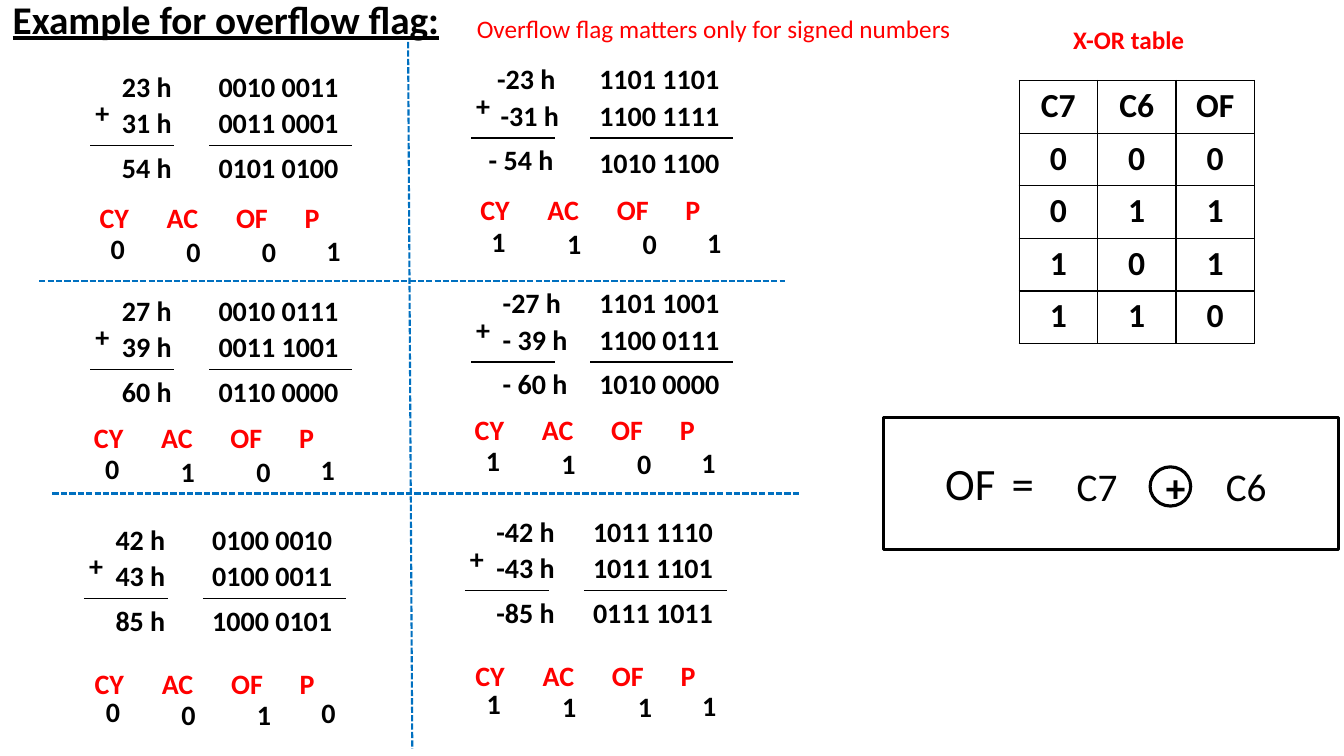
from lxml.etree import SubElement
from pptx import Presentation
from pptx.dml.color import RGBColor
from pptx.enum.dml import MSO_LINE
from pptx.enum.shapes import MSO_CONNECTOR, MSO_SHAPE
from pptx.enum.text import MSO_ANCHOR, MSO_AUTO_SIZE, PP_ALIGN
from pptx.oxml.ns import qn
from pptx.util import Pt

COLORS = {"black": "000000", "red": "FF0000", "blue": "0070C0"}
FONT = "Calibri"
FLAGS = ("CY", "AC", "OF", "P")
FLAG_TABS = (48, 97.5, 146.5)
FLAG_VALUE_OFFSETS = ((8, 0), (62, 2), (116, 2), (162, 1))
RIGHT_SHIFT, RIGHT_RISE = 272, 5.5

# Per row: operand left, top, flag label left, flag label top, label-to-value drop
ROWS = ((80, 46, 64, 139.5, 22.5),
        (80, 206, 60, 296.5, 22.5),
        (75.5, 369.5, 60.5, 472.5, 20))

# Per row, left then right: decimal sum, binary sum, flag values
EXAMPLES = (
    ((("23 h", "31 h", "54 h"), ("0010 0011", "0011 0001", "0101 0100"), "0001"),
     (("-23 h", "-31 h", "- 54 h"), ("1101 1101", "1100 1111", "1010 1100"), "1101")),
    ((("27 h", "39 h", "60 h"), ("0010 0111", "0011 1001", "0110 0000"), "0101"),
     (("-27 h", "- 39 h", "- 60 h"), ("1101 1001", "1100 0111", "1010 0000"), "1101")),
    ((("42 h", "43 h", "85 h"), ("0100 0010", "0100 0011", "1000 0101"), "0010"),
     (("-42 h", "-43 h", "-85 h"), ("1011 1110", "1011 1101", "0111 1011"), "1111")),
)
# Horizontal shift of single numbers that stand out of their column
NUMBER_SHIFTS = {"-23 h": -4, "-31 h": -1.5, "- 54 h": -10}
# Extra drop of single results below their line
NUMBER_DROPS = {"1010 1100": 2}

XOR_ROWS = (("C7", "C6", "OF"), "000", "011", "101", "110")


def rgb(name):
    return RGBColor.from_string(COLORS[name])


def format_run(run, size, color="black", **styles):
    for name, value in {"name": FONT, "size": Pt(size), **styles}.items():
        setattr(run.font, name, value)
    run.font.color.rgb = rgb(color)


def add_text(slide, text, left, top, width, size=20, color="black", tabs=(), **styles):
    height = round(size * 1.22 + 7.2, 1)
    box = slide.shapes.add_textbox(Pt(left), Pt(top), Pt(width), Pt(height))
    box.text_frame.word_wrap = True
    box.text_frame.auto_size = MSO_AUTO_SIZE.SHAPE_TO_FIT_TEXT
    paragraph = box.text_frame.paragraphs[0]
    if tabs:
        tab_list = SubElement(paragraph._p.get_or_add_pPr(), qn("a:tabLst"))
        for position in tabs:
            SubElement(tab_list, qn("a:tab"), pos=str(int(Pt(position))), algn="l")
    run = paragraph.add_run()
    run.text = text
    format_run(run, size, color, **styles)


def add_line(slide, start, end, color="black", width=1, dash=None):
    points = [Pt(value) for value in (*start, *end)]
    connector = slide.shapes.add_connector(MSO_CONNECTOR.STRAIGHT, *points)
    connector.line.color.rgb = rgb(color)
    connector.line.width = Pt(width)
    if dash:
        connector.line.dash_style = dash
    SubElement(connector._element.spPr, qn("a:effectLst"))


def add_outline(slide, kind, left, top, width, height):
    shape = slide.shapes.add_shape(kind, Pt(left), Pt(top), Pt(width), Pt(height))
    shape.shadow.inherit = False
    shape.fill.background()
    shape.line.color.rgb = rgb("black")
    shape.line.width = Pt(2.25)
    return shape


def add_sum(slide, numbers, left, top, width, line_left, line_width):
    """Two operands, a line and the result below it."""
    for number, offset in zip(numbers, (0, 26, 58)):
        add_text(slide, number, left + NUMBER_SHIFTS.get(number, 0),
                 top + offset + NUMBER_DROPS.get(number, 0), width, bold=True)
    add_line(slide, (line_left, top + 58), (line_left + line_width, top + 58))


def add_flags(slide, values, left, top, drop):
    add_text(slide, "\t".join(FLAGS), left, top, 234, color="red", tabs=FLAG_TABS, bold=True)
    for value, (across, down) in zip(values, FLAG_VALUE_OFFSETS):
        add_text(slide, value, left + across, top + drop + down, 28, bold=True)


def add_example(slide, example, row, shift, rise):
    decimals, binaries, flags = example
    left, top, flag_left, flag_top, drop = row
    left, top = left + shift, top - rise
    add_sum(slide, decimals, left, top, 66, left - 15.5, 60)
    add_text(slide, "+", left - 19, top + 19, 37, bold=True)
    add_sum(slide, binaries, left + 69, top, 156, left + 69.5, 102)
    add_flags(slide, flags, flag_left + shift, flag_top - rise, drop)


def set_cell_borders(cell):
    properties = cell._tc.get_or_add_tcPr()
    for index, side in enumerate(("lnL", "lnR", "lnT", "lnB")):
        border = properties.makeelement(qn(f"a:{side}"), {"w": str(int(Pt(1)))})
        fill = SubElement(border, qn("a:solidFill"))
        SubElement(fill, qn("a:srgbClr"), val=COLORS["black"])
        properties.insert(index, border)


def add_xor_table(slide, left, top, column_width, row_height):
    row_count, column_count = len(XOR_ROWS), len(XOR_ROWS[0])
    frame = slide.shapes.add_table(row_count, column_count, Pt(left), Pt(top),
                                   Pt(column_width * column_count), Pt(row_height * row_count))
    table = frame.table
    table.first_row = table.horz_banding = False
    for column in table.columns:
        column.width = Pt(column_width)
    for row, values in zip(table.rows, XOR_ROWS):
        row.height = Pt(row_height)
        for cell, value in zip(row.cells, values):
            cell.fill.background()
            set_cell_borders(cell)
            paragraph = cell.text_frame.paragraphs[0]
            paragraph.alignment = PP_ALIGN.CENTER
            run = paragraph.add_run()
            run.text = value
            format_run(run, 24, bold=True)


def add_formula(slide):
    add_text(slide, "C7", 762, 327, 53, size=28)
    circle = add_outline(slide, MSO_SHAPE.OVAL, 821.5, 333.5, 29, 28)
    circle.text_frame.vertical_anchor = MSO_ANCHOR.MIDDLE
    paragraph = circle.text_frame.paragraphs[0]
    paragraph.alignment = PP_ALIGN.CENTER
    run = paragraph.add_run()
    run.text = "+"
    format_run(run, 28, bold=True)
    add_text(slide, "C6", 868.5, 327, 57, size=28)
    add_text(slide, "OF\t=", 668, 322, 99, size=32, tabs=(47.5,))
    add_outline(slide, MSO_SHAPE.RECTANGLE, 631, 298, 325, 94.5)


def main():
    presentation = Presentation()
    presentation.slide_width, presentation.slide_height = Pt(960), Pt(540)
    slide = presentation.slides.add_slide(presentation.slide_layouts[6])
    add_text(slide, "Example for overflow flag:", 2, -7, 352, size=28, bold=True, underline=True)
    add_text(slide, "Overflow flag matters only for signed numbers", 333.5, 6, 427,
             size=18, color="red")
    for row, (left_example, right_example) in zip(ROWS, EXAMPLES):
        add_example(slide, left_example, row, 0, 0)
        add_example(slide, right_example, row, RIGHT_SHIFT, RIGHT_RISE)
    for start, end in (((28, 201), (561, 201)), ((37.5, 352.5), (570.5, 352.5)),
                       ((291.5, 30), (294.5, 535))):
        add_line(slide, start, end, "blue", 1.5, MSO_LINE.SQUARE_DOT)
    add_xor_table(slide, 728, 57.5, 56, 37.6)
    add_text(slide, "X-OR table", 759.5, 14, 190, size=18, color="red", bold=True)
    add_formula(slide)
    presentation.save("out.pptx")


if __name__ == "__main__":
    main()
